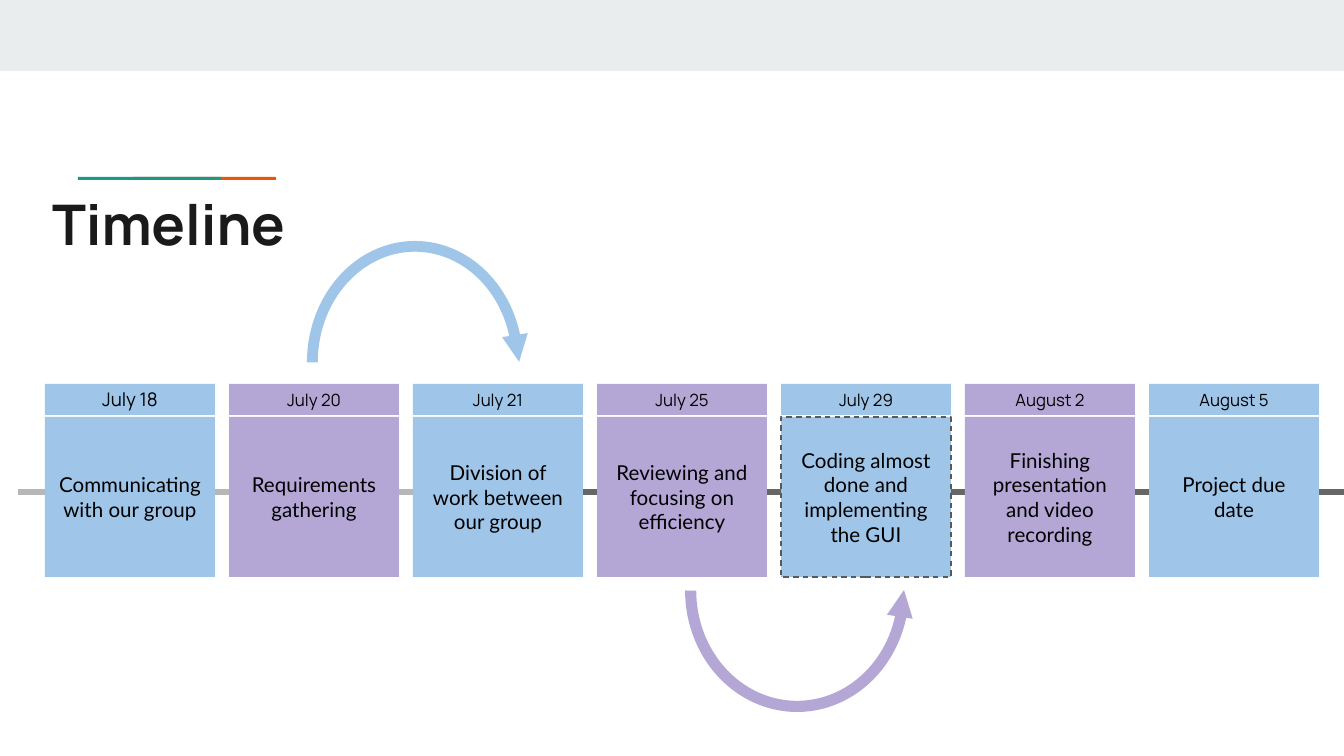
from dataclasses import dataclass

from lxml.etree import SubElement
from pptx import Presentation
from pptx.dml.color import RGBColor
from pptx.enum.dml import MSO_LINE
from pptx.enum.shapes import MSO_CONNECTOR, MSO_SHAPE
from pptx.enum.text import MSO_ANCHOR, PP_ALIGN
from pptx.oxml.ns import qn
from pptx.util import Emu, Pt

PX_PER_INCH = 134.4
EMU_PER_PX = 914400 / PX_PER_INCH


def px(length):
    return Emu(round(length * EMU_PER_PX))


@dataclass(frozen=True)
class Theme:
    band: str = "E9EDEE"
    teal: str = "1A9988"
    orange: str = "EB5600"
    heading: str = "1A1A1A"
    text: str = "000000"
    blue: str = "9FC5E8"
    purple: str = "B4A7D6"
    past_line: str = "B7B7B7"
    next_line: str = "666666"
    outline: str = "595959"
    heading_font: str = "Manrope"
    body_font: str = "Lato"
    title_size: int = 30
    body_size: int = 11
    first_date_size: int = 10
    date_size: int = 9


class SlideBuilder:
    def __init__(self, page, theme):
        self.page = page
        self.theme = theme

    def shape(self, kind, left, top, width, height, color, rotation=0, adjustments=()):
        item = self.page.shapes.add_shape(kind, px(left), px(top), px(width), px(height))
        item.shadow.inherit = False
        item.fill.solid()
        item.fill.fore_color.rgb = RGBColor.from_string(color)
        item.line.fill.background()
        item.rotation = rotation
        for index, value in enumerate(adjustments):
            item.adjustments[index] = value
        return item

    def label(self, item, text, font, size, color, bold=False,
              align=PP_ALIGN.CENTER, anchor=MSO_ANCHOR.MIDDLE):
        frame = item.text_frame
        frame_format = {"word_wrap": True, "vertical_anchor": anchor}
        frame_format.update({f"margin_{side}": px(13)
                             for side in ("left", "top", "right", "bottom")})
        for name, value in frame_format.items():
            setattr(frame, name, value)
        para = frame.paragraphs[0]
        para.alignment = align
        span = para.add_run()
        span.text = text
        for name, value in {"name": font, "size": Pt(size), "bold": bold}.items():
            setattr(span.font, name, value)
        span.font.color.rgb = RGBColor.from_string(color)

    def title(self, text, left, top, width, height):
        box = self.page.shapes.add_textbox(px(left), px(top), px(width), px(height))
        self.label(box, text, self.theme.heading_font, self.theme.title_size,
                   self.theme.heading, True, PP_ALIGN.LEFT, MSO_ANCHOR.TOP)

    def rail(self, start, end, y, color):
        line = self.page.shapes.add_connector(
            MSO_CONNECTOR.STRAIGHT, px(start), px(y), px(end), px(y))
        line.line.color.rgb = RGBColor.from_string(color)
        line.line.width = Pt(3)
        SubElement(line._element.spPr, qn("a:effectLst"))

    def card(self, left, date, task, color, date_size, dashed):
        theme = self.theme
        body = self.shape(MSO_SHAPE.RECTANGLE, left, 417, 170, 160, color)
        if dashed:
            body.line.color.rgb = RGBColor.from_string(theme.outline)
            body.line.width = Pt(0.75)
            body.line.dash_style = MSO_LINE.DASH
        self.label(body, task, theme.body_font, theme.body_size, theme.text)
        header = self.shape(MSO_SHAPE.RECTANGLE, left, 384, 170, 31, color)
        self.label(header, date, theme.heading_font, date_size, theme.text)

    def curved_arrow(self, arc_box, head_box, head_rotation, color, below=False):
        arc = self.shape(MSO_SHAPE.BLOCK_ARC, *arc_box, color,
                         180 if below else 0, (108, 211.46, 0.05))
        if below:
            arc._element.spPr.find(qn("a:xfrm")).set("flipH", "1")
        self.shape(MSO_SHAPE.ISOSCELES_TRIANGLE, *head_box, color, head_rotation)


STEPS = [
    ("July 18", "Communicating with our group"),
    ("July 20", "Requirements gathering"),
    ("July 21", "Division of work between our group"),
    ("July 25", "Reviewing and focusing on efficiency"),
    ("July 29", "Coding almost done and implementing the GUI"),
    ("August 2", "Finishing presentation and video recording"),
    ("August 5", "Project due date"),
]
CURRENT_STEP = 4


def main():
    theme = Theme()
    deck = Presentation()
    deck.slide_width, deck.slide_height = px(1344), px(756)
    builder = SlideBuilder(deck.slides.add_slide(deck.slide_layouts[6]), theme)

    # Top band and two-colour accent
    builder.shape(MSO_SHAPE.RECTANGLE, 0, 0, 1344, 71, theme.band)
    for left, color in ((133, theme.orange), (78, theme.teal)):
        builder.shape(MSO_SHAPE.RECTANGLE, left, 177, 143, 3, color)

    # Rails behind the cards
    builder.rail(578, 1344, 492, theme.next_line)
    builder.rail(18, 547, 492, theme.past_line)

    builder.title("Timeline", 39, 177, 1169, 79)

    # Cards at an equal pitch, in alternating colours
    for index, (date, task) in enumerate(STEPS):
        color = theme.purple if index % 2 else theme.blue
        date_size = theme.date_size if index else theme.first_date_size
        builder.card(45 + 184 * index, date, task, color, date_size,
                     index == CURRENT_STEP)

    # Curved arrows between steps
    builder.curved_arrow((307, 241, 216, 243), (504, 335, 26, 27), 171.1, theme.blue)
    builder.curved_arrow((685, 469, 224, 243), (889, 590, 26, 27), 8.9,
                         theme.purple, below=True)

    deck.save("out.pptx")


if __name__ == "__main__":
    main()
